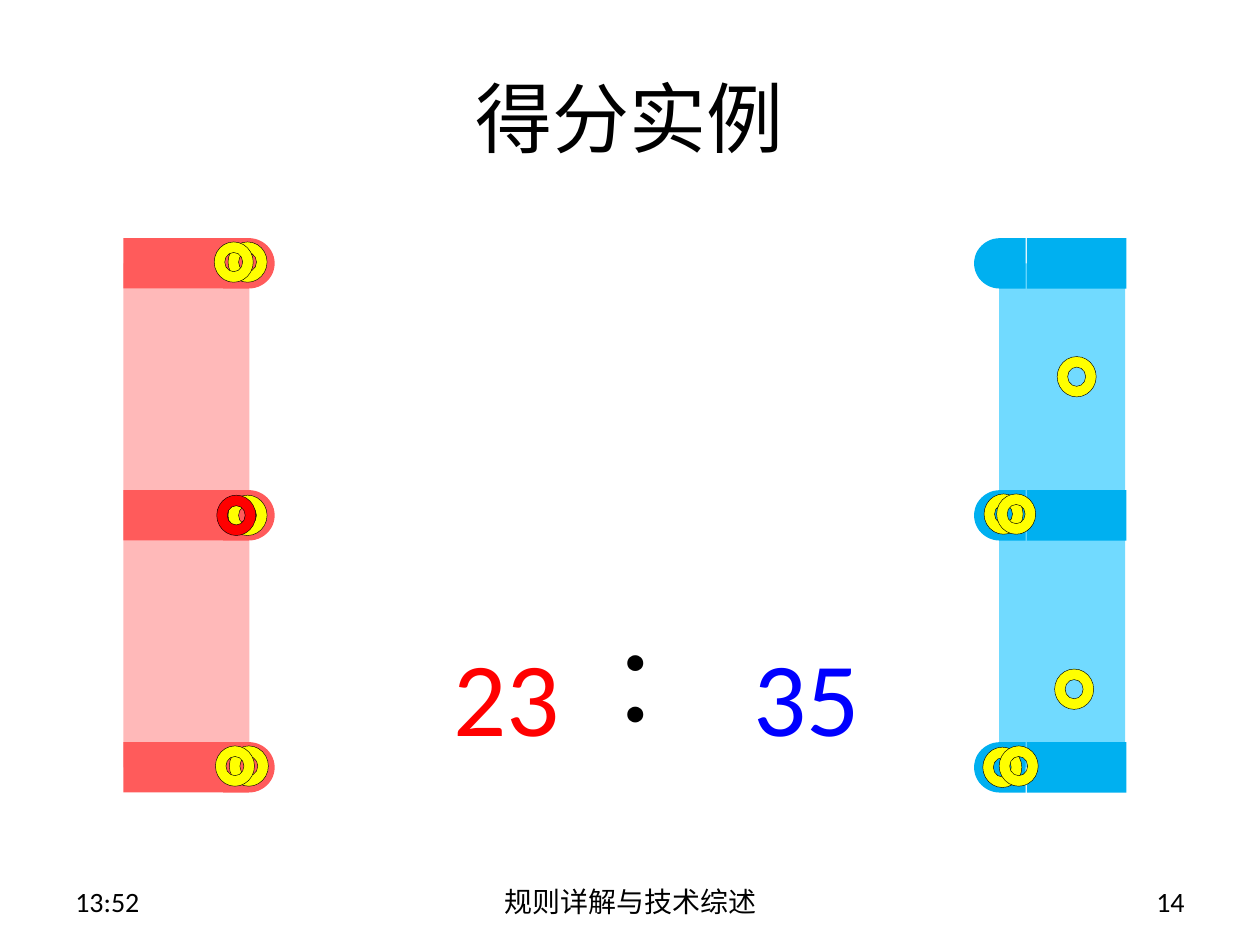
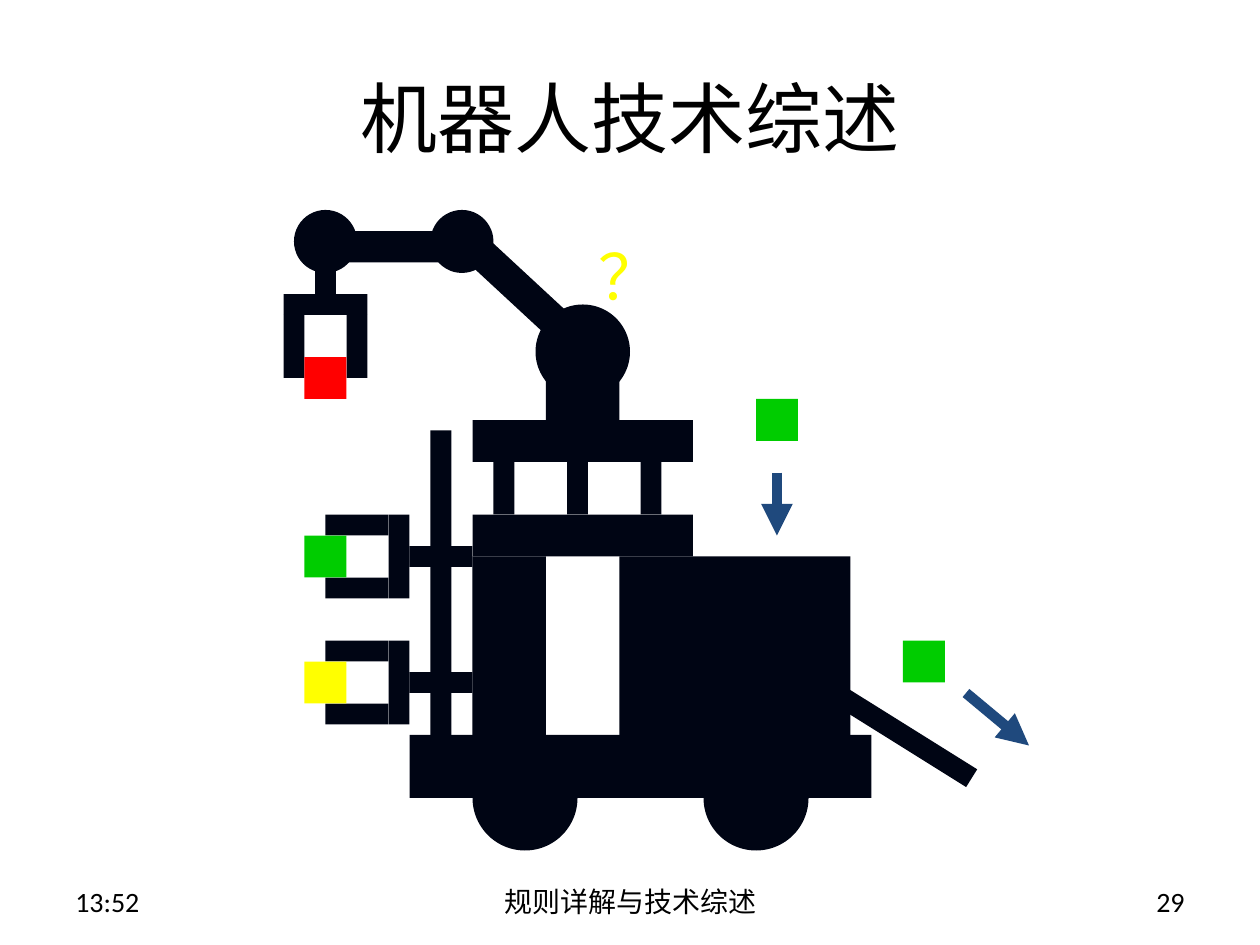
from lxml.etree import SubElement
from pptx import Presentation
from pptx.dml.color import RGBColor
from pptx.enum.shapes import MSO_CONNECTOR, MSO_SHAPE
from pptx.enum.text import MSO_ANCHOR, PP_ALIGN
from pptx.oxml.ns import qn
from pptx.util import Inches, Pt

COLORS = {
    "black": "000000", "red": "FF0000", "blue": "0000FF", "yellow": "FFFF00",
    "green": "00CC00", "robot": "000514", "arrow": "1F497D",
    "red zone": "FFB9B9", "red beam": "FF5B5B",
    "blue zone": "71DAFF", "blue beam": "00B0F0",
}
LATIN, CHINESE = "Calibri", "Noto Sans CJK SC"
WIDTH, HEIGHT, MARGIN = 10, 7.5, 0.5

SCORING_TITLE, SCORING_PAGE = "得分实例", "14"
ROBOT_TITLE, ROBOT_PAGE = "机器人技术综述", "29"
TIME, FOOTER = "13:52", "规则详解与技术综述"

BEAM_TOP, BEAM_PITCH, BEAM_HEIGHT, BEAM_LENGTH, TIP_LENGTH = 1.89, 2, 0.4, 0.79, 0.41
ZONE_WIDTH = 1
GOALS = [
    {"name": "red", "zone": 0.98, "beam": 0.98, "tip": 1.77, "turn": 0},
    {"name": "blue", "zone": 7.93, "beam": 8.15, "tip": 7.73, "turn": 180},
]
RING_SIZE = (0.31, 0.32)
RINGS = [
    (1.81, 1.92, "yellow"), (1.70, 1.92, "yellow"),
    (1.81, 3.93, "yellow"), (1.72, 3.93, "red"),
    (1.82, 5.92, "yellow"), (1.71, 5.92, "yellow"),
    (7.81, 3.92, "yellow"), (7.91, 3.92, "yellow"),
    (7.80, 5.93, "yellow"), (7.93, 5.92, "yellow"),
    (8.39, 2.83, "yellow"), (8.37, 5.31, "yellow"),
]
SCORES = [("23", 3.5, 4.96, "red"), ("：", 4.74, 4.85, "black"), ("35", 5.88, 4.96, "blue")]

UNIT = 1 / 12
BODY = [
    (39, 70, 44, 6), (66, 53, 15, 17), (45, 53, 7, 17), (59, 53, 7, 17),
    (45, 49, 21, 4), (45, 40, 21, 4), (41, 41, 2, 29),
]
POSTS = [(column, 44, 2, 5) for column in (47, 54, 61)]
ARM = [(33, 22, 13, 3), (52, 32, 7, 8), (30, 22, 2, 6)]
CLAW = [(27, 28, 8, 2), (27, 30, 2, 6), (33, 30, 2, 6)]
SIDE_GRIPPER = [(31, 0, 6, 2), (31, 6, 6, 2), (37, 0, 2, 8), (39, 3, 6, 2)]
SIDE_GRIPPER_ROWS = [49, 61]
TILTED = [(42.36, 25.92, 14, 3, 42.8), (77.76, 68.88, 16, 2, 32)]
ROUND = [(45, 71, 10, 10), (67, 71, 10, 10), (28, 20, 6, 6), (41, 20, 6, 6), (51, 29, 9, 9)]
BLOCK_SIZE = 4
BLOCKS = [(29, 34, "red"), (29, 51, "green"), (29, 63, "yellow"),
          (72, 38, "green"), (86, 61, "green")]
ARROWS = [((74, 45), (74, 51)), ((92, 66), (98, 71))]
QUESTION = ("？", (37, 22, 46, 49))


def rgb(name):
    return RGBColor.from_string(COLORS[name])


def grid(values):
    return [value * UNIT for value in values]


def write(frame, text, size, color, align=PP_ALIGN.LEFT, font=LATIN,
          anchor=MSO_ANCHOR.TOP, wrap=True):
    frame.word_wrap = wrap
    frame.vertical_anchor = anchor
    paragraph = frame.paragraphs[0]
    paragraph.alignment = align
    run = paragraph.add_run()
    run.text = text
    run.font.size = Pt(size)
    run.font.color.rgb = rgb(color)
    run.font.name = font
    SubElement(run.font._element, qn("a:ea"), typeface=CHINESE)


def add_text(slide, box, *arguments, **options):
    shape = slide.shapes.add_textbox(*map(Inches, box))
    write(shape.text_frame, *arguments, **options)


def add_part(slide, kind, box, color, turn=0):
    shape = slide.shapes.add_shape(kind, *map(Inches, box))
    shape.shadow.inherit = False
    shape.fill.solid()
    shape.fill.fore_color.rgb = rgb(color)
    shape.line.fill.background()
    shape.rotation = turn
    return shape


def add_arrow(slide, start, end):
    points = map(Inches, grid(start + end))
    arrow = slide.shapes.add_connector(MSO_CONNECTOR.STRAIGHT, *points)
    arrow.line.color.rgb = rgb("arrow")
    arrow.line.width = Pt(6)
    SubElement(arrow.line._get_or_add_ln(), qn("a:tailEnd"), type="triangle")
    SubElement(arrow._element.spPr, qn("a:effectLst"))


def start_slide(presentation, title, page):
    slide = presentation.slides.add_slide(presentation.slide_layouts[5])
    heading = slide.shapes.title
    heading.left, heading.top = Inches(MARGIN), Inches(0.3)
    heading.width, heading.height = Inches(WIDTH - 2 * MARGIN), Inches(1.25)
    write(heading.text_frame, title, 44, "black", PP_ALIGN.CENTER, CHINESE, MSO_ANCHOR.MIDDLE)
    footers = [
        (TIME, MARGIN, 2.33, PP_ALIGN.LEFT),
        (FOOTER, 3.42, 3.17, PP_ALIGN.CENTER),
        (page, WIDTH - MARGIN - 2.33, 2.33, PP_ALIGN.RIGHT),
    ]
    for text, left, width, align in footers:
        add_text(slide, (left, 6.95, width, 0.4), text, 16, "black", align,
                 anchor=MSO_ANCHOR.MIDDLE)
    return slide


def build_scoring(presentation):
    slide = start_slide(presentation, SCORING_TITLE, SCORING_PAGE)
    for goal in GOALS:
        turn, beam_color = goal["turn"], goal["name"] + " beam"
        for row in range(2):
            top = BEAM_TOP + BEAM_HEIGHT / 2 + row * BEAM_PITCH
            add_part(slide, MSO_SHAPE.RECTANGLE, (goal["zone"], top, ZONE_WIDTH, BEAM_PITCH),
                     goal["name"] + " zone", turn)
        for row in range(3):
            top = BEAM_TOP + row * BEAM_PITCH
            add_part(slide, MSO_SHAPE.RECTANGLE, (goal["beam"], top, BEAM_LENGTH, BEAM_HEIGHT),
                     beam_color, turn)
            add_part(slide, MSO_SHAPE.FLOWCHART_DELAY,
                     (goal["tip"], top, TIP_LENGTH, BEAM_HEIGHT), beam_color, turn)
    for left, top, color in RINGS:
        ring = add_part(slide, MSO_SHAPE.DONUT, (left, top, *RING_SIZE), color)
        ring.adjustments[0] = 0.27
        ring.line.color.rgb = rgb("black")
        ring.line.width = Pt(0.25)
    for text, left, top, color in SCORES:
        add_text(slide, (left, top, 1.05, 1.11), text, 60, color, wrap=False)


def build_robot(presentation):
    slide = start_slide(presentation, ROBOT_TITLE, ROBOT_PAGE)
    grippers = [(column, row + offset, width, height)
                for row in SIDE_GRIPPER_ROWS
                for column, offset, width, height in SIDE_GRIPPER]
    for box in BODY + POSTS + ARM + CLAW + grippers:
        add_part(slide, MSO_SHAPE.RECTANGLE, grid(box), "robot")
    for *box, turn in TILTED:
        add_part(slide, MSO_SHAPE.RECTANGLE, grid(box), "robot", turn)
    for box in ROUND:
        add_part(slide, MSO_SHAPE.OVAL, grid(box), "robot")
    for column, row, color in BLOCKS:
        add_part(slide, MSO_SHAPE.RECTANGLE, grid((column, row, BLOCK_SIZE, BLOCK_SIZE)), color)
    for start, end in ARROWS:
        add_arrow(slide, start, end)
    text, box = QUESTION
    add_text(slide, grid(box), text, 36, "yellow", PP_ALIGN.CENTER, CHINESE, wrap=False)


def main():
    presentation = Presentation()
    presentation.slide_width, presentation.slide_height = Inches(WIDTH), Inches(HEIGHT)
    build_scoring(presentation)
    build_robot(presentation)
    presentation.save("out.pptx")


if __name__ == "__main__":
    main()
